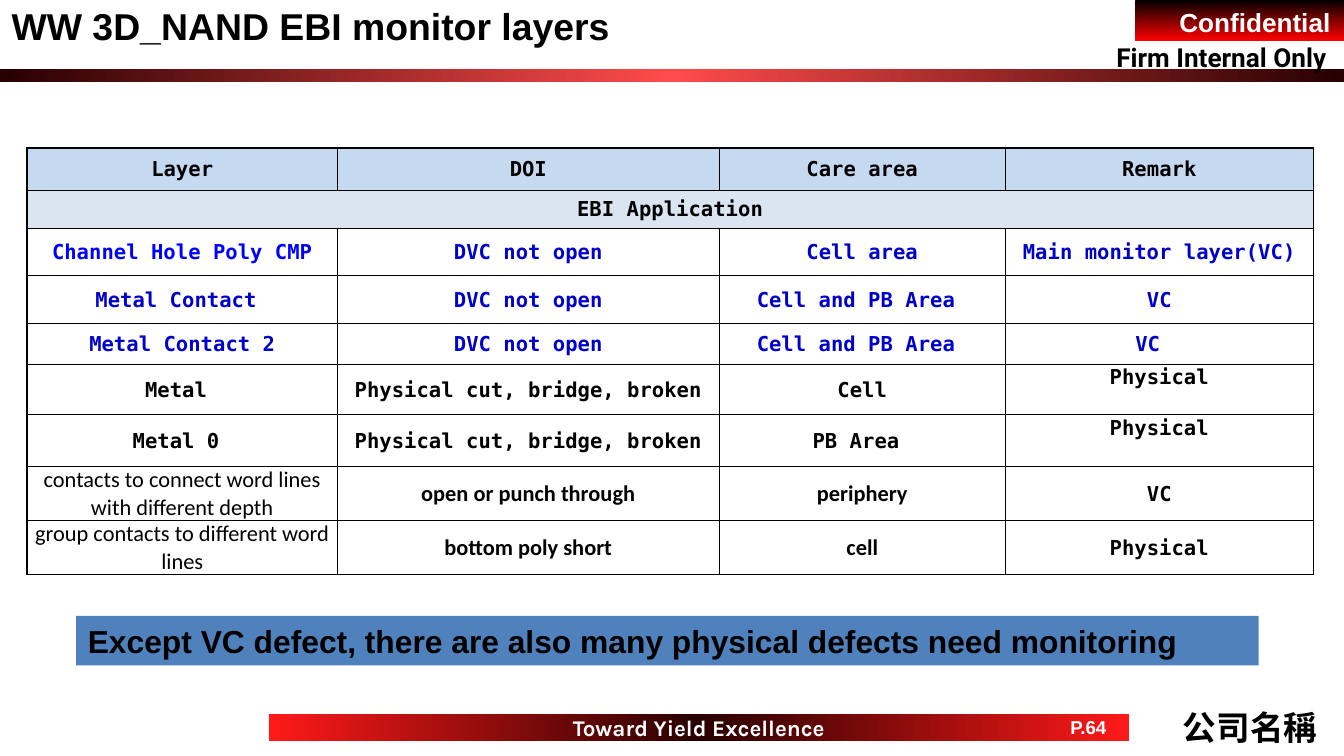
import copy

import pptx
import pptx.dml.color
import pptx.enum.shapes
import pptx.enum.text
import pptx.oxml
import pptx.oxml.ns
import pptx.util

Cm = pptx.util.Cm
ALIGN = pptx.enum.text.PP_ALIGN
ANCHOR = pptx.enum.text.MSO_ANCHOR
RECTANGLE = pptx.enum.shapes.MSO_SHAPE.RECTANGLE

THEME = {
    "black": "000000", "white": "FFFFFF", "blue": "0000CC", "bright blue": "0000FF",
    "header": "C5D9F1", "section": "DBE5F1", "banner": "4F81BD",
    "rule": ("280000", "FF4B4B", "280000"),
    "tag": ("000000", "FF0000"),
    "footer": ("FF1919", "280000", "FF1919"),
    "sans": "Arial", "mono": "DejaVu Sans Mono", "body": "Calibri",
    "slogan": "Karla", "notice": "Roboto",
    "title size": 20, "company size": 18, "banner size": 17, "tag size": 14,
    "slogan size": 12, "body size": 12, "mono size": 11, "page size": 10,
    "inner line": 0.5, "outer line": 1,
}

# Content: layer, DOI, care area, remark
LAYERS = [
    ("Layer", "DOI", "Care area", "Remark"),
    ("EBI Application",),
    ("Channel Hole Poly CMP", "DVC not open", "Cell area", "Main monitor layer(VC)"),
    ("Metal Contact ", "DVC not open", "Cell and PB Area ", "VC"),
    ("Metal Contact 2", "DVC not open", "Cell and PB Area ", "VC"),
    ("Metal ", "Physical cut, bridge, broken", "Cell", "Physical"),
    ("Metal 0 ", "Physical cut, bridge, broken", "PB Area ", "Physical"),
    ("contacts to connect word lines with different depth",
     "open or punch through", "periphery", "VC"),
    ("group contacts to different word lines", "bottom poly short", "cell", "Physical"),
]
ROW_FILLS = {0: "header", 1: "section"}
BLUE_ROWS = (2, 3, 4)
BODY_ROWS = (7, 8)
CELL_FORMATS = {
    (4, 3): {"margin_right": Cm(0.47)},
    (5, 3): {"vertical_anchor": ANCHOR.TOP},
    (6, 3): {"vertical_anchor": ANCHOR.TOP},
}
COLUMN_WIDTHS = (5.87, 7.21, 5.41, 5.82)
ROW_HEIGHTS = (0.79, 0.72, 0.89, 0.91, 0.77, 0.96, 0.98, 1.02, 1.02)

# Place, fill, text, font, size, colour, text frame format, alignment
MIDDLE = {"vertical_anchor": ANCHOR.MIDDLE}
ONE_LINE = {"word_wrap": False}
PARTS = [
    ((0, 1.3, 25.4, 0.25), "rule", "", "sans", "tag size", "white", {}, ALIGN.LEFT),
    ((21.46, 0, 3.94, 0.77), "tag", "Confidential", "sans", "tag size", "white",
     {}, ALIGN.RIGHT),
    ((5.08, 13.49, 16.26, 0.51), "footer", "Toward Yield Excellence", "slogan",
     "slogan size", "white", MIDDLE | ONE_LINE, ALIGN.CENTER),
    ((19.81, 13.49, 1.52, 0.51), None, "P.64", "sans", "page size", "white",
     MIDDLE | ONE_LINE, ALIGN.CENTER),
    ((20.85, 0.66, 4.57, 0.86), None, "Firm Internal Only", "notice", "tag size", "black",
     ONE_LINE, ALIGN.LEFT),
    ((22.1, 13.23, 3.05, 1.02), None, "公司名稱", "sans", "company size", "black",
     MIDDLE, ALIGN.CENTER),
    ((0, -0.05, 21.06, 1.07), None, "WW 3D_NAND EBI monitor layers", "sans",
     "title size", "black", {"margin_left": Cm(0.22), "margin_top": Cm(0.11)}, ALIGN.LEFT),
    ((1.44, 11.64, 22.35, 0.94), "banner",
     "Except VC defect, there are also many physical defects need monitoring", "sans",
     "banner size", "black", {"margin_left": Cm(0.22), "margin_top": Cm(0.11)}, ALIGN.LEFT),
]


def rgb(value):
    return pptx.dml.color.RGBColor.from_string(value)


def apply(target, values):
    for name, value in values.items():
        setattr(target, name, value)


def write(frame, text, font, size, colour, align=ALIGN.CENTER, bold=True):
    paragraph = frame.paragraphs[0]
    paragraph.alignment = align
    run = paragraph.add_run()
    run.text = text
    apply(run.font, {"name": THEME[font], "size": pptx.util.Pt(THEME[size]), "bold": bold})
    run.font.color.rgb = rgb(THEME[colour])


def paint(shape, colours):
    """Solid fill for one colour, evenly spaced gradient for several."""
    if isinstance(colours, str):
        shape.fill.solid()
        shape.fill.fore_color.rgb = rgb(colours)
        return
    shape.fill.gradient()
    shape.fill.gradient_angle = 0 if len(colours) == 3 else 270
    stops = next(shape._element.iter(pptx.oxml.ns.qn("a:gsLst")))
    while len(stops) < len(colours):
        stops.append(copy.deepcopy(stops[-1]))
    for index, (stop, colour) in enumerate(zip(shape.fill.gradient_stops, colours)):
        stop.position = index / (len(colours) - 1)
        stop.color.rgb = rgb(colour)


def add_part(slide, place, fill, text, font, size, colour, frame_format, align):
    place = [Cm(length) for length in place]
    if fill:
        part = slide.shapes.add_shape(RECTANGLE, *place)
        part.shadow.inherit = False
        part.line.fill.background()
        paint(part, THEME[fill])
    else:
        part = slide.shapes.add_textbox(*place)
    if text:
        defaults = {"word_wrap": True, "vertical_anchor": ANCHOR.TOP}
        apply(part.text_frame, defaults | frame_format)
        write(part.text_frame, text, font, size, colour, align)


def add_borders(cell, row, column):
    outer = {"L": column == 0, "R": column == len(COLUMN_WIDTHS) - 1,
             "T": row == 0, "B": row == len(ROW_HEIGHTS) - 1}
    properties = cell._tc.get_or_add_tcPr()
    for index, (side, is_outer) in enumerate(outer.items()):
        width = pptx.util.Pt(THEME["outer line" if is_outer else "inner line"])
        properties.insert(index, pptx.oxml.parse_xml(
            f'<a:ln{side} {pptx.oxml.ns.nsdecls("a")} w="{int(width)}"><a:solidFill>'
            f'<a:srgbClr val="{THEME["black"]}"/></a:solidFill></a:ln{side}>'))


def add_layer_table(slide):
    table = slide.shapes.add_table(
        len(ROW_HEIGHTS), len(COLUMN_WIDTHS), Cm(0.51), Cm(2.8),
        Cm(sum(COLUMN_WIDTHS)), Cm(sum(ROW_HEIGHTS))).table
    apply(table, {"first_row": False, "horz_banding": False})
    for column, width in zip(table.columns, COLUMN_WIDTHS):
        column.width = Cm(width)
    for row, height in zip(table.rows, ROW_HEIGHTS):
        row.height = Cm(height)
    table.cell(1, 0).merge(table.cell(1, len(COLUMN_WIDTHS) - 1))

    for row in range(len(ROW_HEIGHTS)):
        for column in range(len(COLUMN_WIDTHS)):
            cell = table.cell(row, column)
            if row in ROW_FILLS:
                paint(cell, THEME[ROW_FILLS[row]])
            else:
                cell.fill.background()
            add_borders(cell, row, column)
            if column >= len(LAYERS[row]):
                continue
            is_body = row in BODY_ROWS and column < 3
            inset = Cm(0 if is_body else 0.03)
            cell_format = {"vertical_anchor": ANCHOR.MIDDLE, "margin_left": inset,
                           "margin_right": inset, "margin_top": inset, "margin_bottom": 0}
            apply(cell, cell_format | CELL_FORMATS.get((row, column), {}))
            colour = "blue" if row in BLUE_ROWS else "black"
            if (row, column) == (2, 0):
                colour = "bright blue"
            font = "body" if is_body else "mono"
            write(cell.text_frame, LAYERS[row][column], font, f"{font} size", colour,
                  bold=not (is_body and column == 0))


def main():
    deck = pptx.Presentation()
    apply(deck, {"slide_width": Cm(25.4), "slide_height": Cm(14.29)})
    slide = deck.slides.add_slide(deck.slide_layouts[6])
    # Header, footer, title and banner
    for part in PARTS:
        add_part(slide, *part)
    # Monitor layers
    add_layer_table(slide)
    deck.save("out.pptx")


if __name__ == "__main__":
    main()
